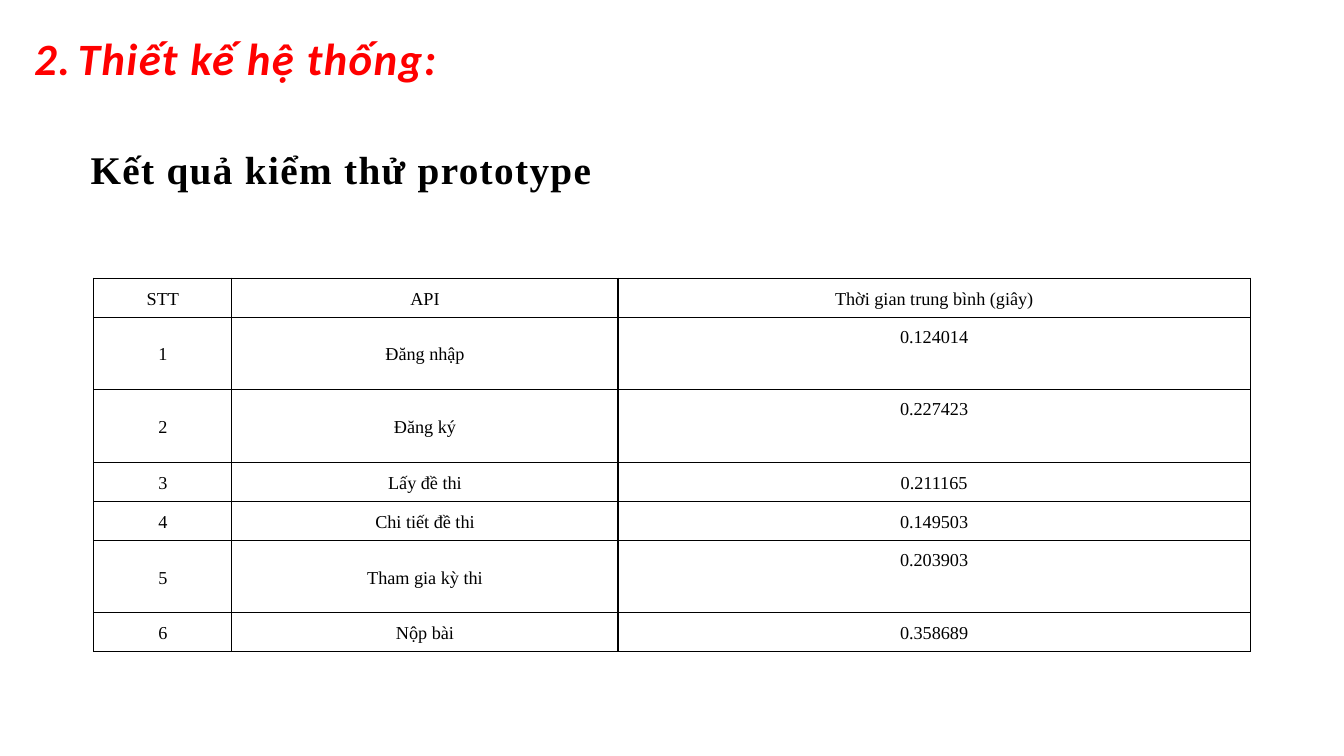
from dataclasses import dataclass

from lxml.etree import SubElement
from pptx import Presentation
from pptx.dml.color import RGBColor
from pptx.enum.text import MSO_ANCHOR, MSO_AUTO_SIZE, PP_ALIGN
from pptx.oxml.ns import qn
from pptx.util import Inches, Pt


@dataclass(frozen=True)
class Theme:
    red: str = "FF0000"
    black: str = "000000"
    heading_font: str = "Calibri"
    body_font: str = "Times New Roman"
    heading_size: int = 32
    subheading_size: int = 28
    gap_size: int = 18
    table_size: int = 13
    border_width: int = 1


THEME = Theme()
COLUMN_WIDTHS = (1.37, 3.83, 6.27)
ROW_HEIGHT = 0.38
TALL_ROW_HEIGHT = 0.72
TALL_ROWS = (1, 2, 5)
HEADERS = ("STT", "API", "Thời gian trung bình (giây)")
RESULTS = (
    ("Đăng nhập", "0.124014"),
    ("Đăng ký", "0.227423"),
    ("Lấy đề thi", "0.211165"),
    ("Chi tiết đề thi", "0.149503"),
    ("Tham gia kỳ thi", "0.203903"),
    ("Nộp bài", "0.358689"),
)


def style_font(font, name, size, color, bold=False, italic=False):
    font.name = name
    font.size = Pt(size)
    font.color.rgb = RGBColor.from_string(color)
    font.bold = bold
    font.italic = italic


def add_run(paragraph, text, spacing=0):
    run = paragraph.add_run()
    run.text = text
    if spacing:
        run.font._element.set("spc", str(spacing * 100))
    return run


def add_text_frame(slide, left, top, width, height, wrap):
    frame = slide.shapes.add_textbox(
        Inches(left), Inches(top), Inches(width), Inches(height)
    ).text_frame
    frame.word_wrap = wrap
    frame.auto_size = MSO_AUTO_SIZE.SHAPE_TO_FIT_TEXT
    return frame


def add_heading(slide, number, title):
    heading = add_text_frame(slide, 0.24, 0.26, 4.21, 1.18, False).paragraphs[0]
    for text in (number, " ", title):
        if text == " ":
            gap = add_run(heading, text)
            style_font(gap.font, THEME.body_font, THEME.gap_size, THEME.black, bold=True)
        else:
            part = add_run(heading, text, spacing=1)
            style_font(part.font, THEME.heading_font, THEME.heading_size,
                       THEME.red, bold=True, italic=True)


def add_subheading(slide, text):
    subheading = add_text_frame(slide, 0.8, 1.32, 6.12, 0.64, True).paragraphs[0]
    subheading.alignment = PP_ALIGN.JUSTIFY
    subheading.line_spacing = 1.15
    style_font(subheading.font, THEME.body_font, THEME.subheading_size, THEME.black, bold=True)
    add_run(subheading, text, spacing=1)


def add_borders(cell):
    properties = cell._tc.get_or_add_tcPr()
    for side in ("a:lnL", "a:lnR", "a:lnT", "a:lnB"):
        border = SubElement(properties, qn(side), w=str(Pt(THEME.border_width)))
        fill = SubElement(border, qn("a:solidFill"))
        SubElement(fill, qn("a:srgbClr"), val=THEME.black)


def fill_cell(cell, text, anchor):
    add_borders(cell)
    cell.fill.background()
    cell.vertical_anchor = anchor
    cell.margin_left = cell.margin_right = Inches(0.07)
    cell.margin_top = cell.margin_bottom = Inches(0.07)
    paragraph = cell.text_frame.paragraphs[0]
    paragraph.alignment = PP_ALIGN.CENTER
    paragraph.line_spacing = 1.14
    paragraph.space_before = Pt(6)
    style_font(paragraph.font, THEME.body_font, THEME.table_size, THEME.black)
    add_run(paragraph, text)


def add_results_table(slide):
    rows = [HEADERS] + [(str(number), *result) for number, result in enumerate(RESULTS, 1)]
    heights = [TALL_ROW_HEIGHT if index in TALL_ROWS else ROW_HEIGHT
               for index in range(len(rows))]
    table = slide.shapes.add_table(
        len(rows), len(HEADERS), Inches(0.93), Inches(2.76),
        Inches(sum(COLUMN_WIDTHS)), Inches(sum(heights)),
    ).table
    table.first_row = False
    table.horz_banding = False
    for column, width in zip(table.columns, COLUMN_WIDTHS):
        column.width = Inches(width)
    for row_index, values in enumerate(rows):
        table.rows[row_index].height = Inches(heights[row_index])
        for column_index, text in enumerate(values):
            is_raised = row_index in TALL_ROWS and column_index == 2
            anchor = MSO_ANCHOR.TOP if is_raised else MSO_ANCHOR.MIDDLE
            fill_cell(table.cell(row_index, column_index), text, anchor)


def main():
    presentation = Presentation()
    presentation.slide_width = Inches(13.33)
    presentation.slide_height = Inches(7.5)
    slide = presentation.slides.add_slide(presentation.slide_layouts[6])
    add_heading(slide, "2.", "Thiết kế hệ thống:")
    add_subheading(slide, "Kết quả kiểm thử prototype")
    add_results_table(slide)
    presentation.save("out.pptx")


if __name__ == "__main__":
    main()
